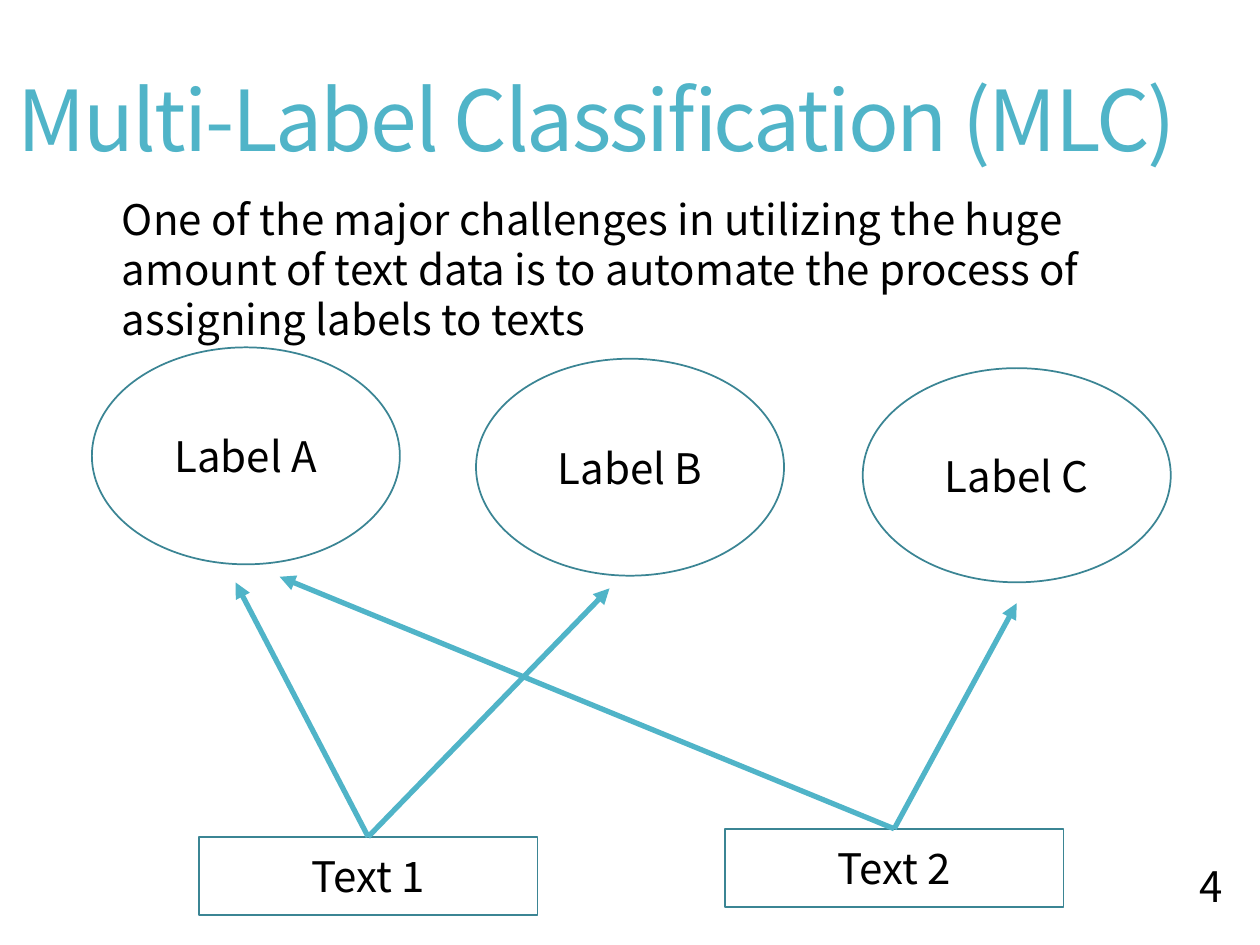
from dataclasses import dataclass

from lxml import etree
from pptx import Presentation
from pptx.dml.color import RGBColor
from pptx.enum.shapes import MSO_CONNECTOR, MSO_SHAPE
from pptx.enum.text import MSO_ANCHOR, PP_ALIGN
from pptx.oxml.ns import qn
from pptx.util import Pt


@dataclass
class Theme:
    font: str = "Noto Sans CJK JP"
    accent: RGBColor = RGBColor(0x50, 0xB4, 0xC8)
    outline: RGBColor = RGBColor(0x3B, 0x85, 0x94)
    ink: RGBColor = RGBColor(0, 0, 0)
    title_size: int = 48
    text_size: int = 24


theme = Theme()


def write_text(shape, text, size, color, align, anchor=MSO_ANCHOR.MIDDLE):
    frame = shape.text_frame
    frame.word_wrap = True
    frame.vertical_anchor = anchor
    paragraph = frame.paragraphs[0]
    paragraph.alignment = align
    run = paragraph.add_run()
    run.text = text
    font_format = {"name": theme.font, "size": Pt(size), "bold": False}
    for name, value in font_format.items():
        setattr(run.font, name, value)
    run.font.color.rgb = color
    return paragraph


presentation = Presentation()
presentation.slide_width, presentation.slide_height = Pt(720), Pt(540)
slide = presentation.slides.add_slide(presentation.slide_layouts[5])

# Title
title = slide.shapes.title
title_place = {"left": 2.9, "top": 13.7, "width": 735, "height": 115.2}
for name, value in title_place.items():
    setattr(title, name, Pt(value))
paragraph = write_text(title, "Multi-Label Classification (MLC)",
                       theme.title_size, theme.accent, PP_ALIGN.LEFT)
paragraph.line_spacing = 0.9
paragraph.runs[0].font._element.set("spc", "-120")

# Text boxes and label ellipses
RECTANGLE, ELLIPSE = MSO_SHAPE.RECTANGLE, MSO_SHAPE.OVAL
nodes = [
    ("Text 1", RECTANGLE, 113.6, 478.2, 193.6, 44.6),
    ("Text 2", RECTANGLE, 414.2, 473.6, 193.6, 44.6),
    ("Label A", ELLIPSE, 52.5, 198.5, 176, 124),
    ("Label B", ELLIPSE, 272, 205, 176, 124),
    ("Label C", ELLIPSE, 493, 210.4, 176, 122.4),
]
for text, kind, *place in nodes:
    shape = slide.shapes.add_shape(kind, *map(Pt, place))
    shape.shadow.inherit = False
    shape.fill.background()
    shape.line.color.rgb = theme.outline
    shape.line.width = Pt(1)
    write_text(shape, text, theme.text_size, theme.ink, PP_ALIGN.CENTER)

# Arrows from each text to its labels
text_1, text_2 = (210.4, 478.2), (511, 473.6)
arrows = [
    (text_1, (134.6, 332.8)),
    (text_1, (348.3, 336.2)),
    (text_2, (159.8, 329.6)),
    (text_2, (581, 344.7)),
]
for start, end in arrows:
    arrow = slide.shapes.add_connector(
        MSO_CONNECTOR.STRAIGHT, *map(Pt, start + end))
    arrow.line.color.rgb = theme.accent
    arrow.line.width = Pt(3)
    etree.SubElement(arrow.line._get_or_add_ln(), qn("a:tailEnd"), type="triangle")
    etree.SubElement(arrow._element.spPr, qn("a:effectLst"))

# Slide number
number = slide.shapes.add_textbox(Pt(631.4), Pt(486), Pt(74.2), Pt(40.3))
write_text(number, "4", theme.text_size, theme.ink, PP_ALIGN.RIGHT)

# Introduction
introduction = slide.shapes.add_textbox(Pt(62.6), Pt(103.7), Pt(615.6), Pt(94.3))
paragraph = write_text(
    introduction,
    "One of the major challenges in utilizing the huge amount of text data "
    "is to automate the process of assigning labels to texts",
    theme.text_size, theme.ink, PP_ALIGN.LEFT, MSO_ANCHOR.TOP)
paragraph.line_spacing = Pt(28.6)
introduction.text_frame.margin_top = Pt(7)

presentation.save("out.pptx")
